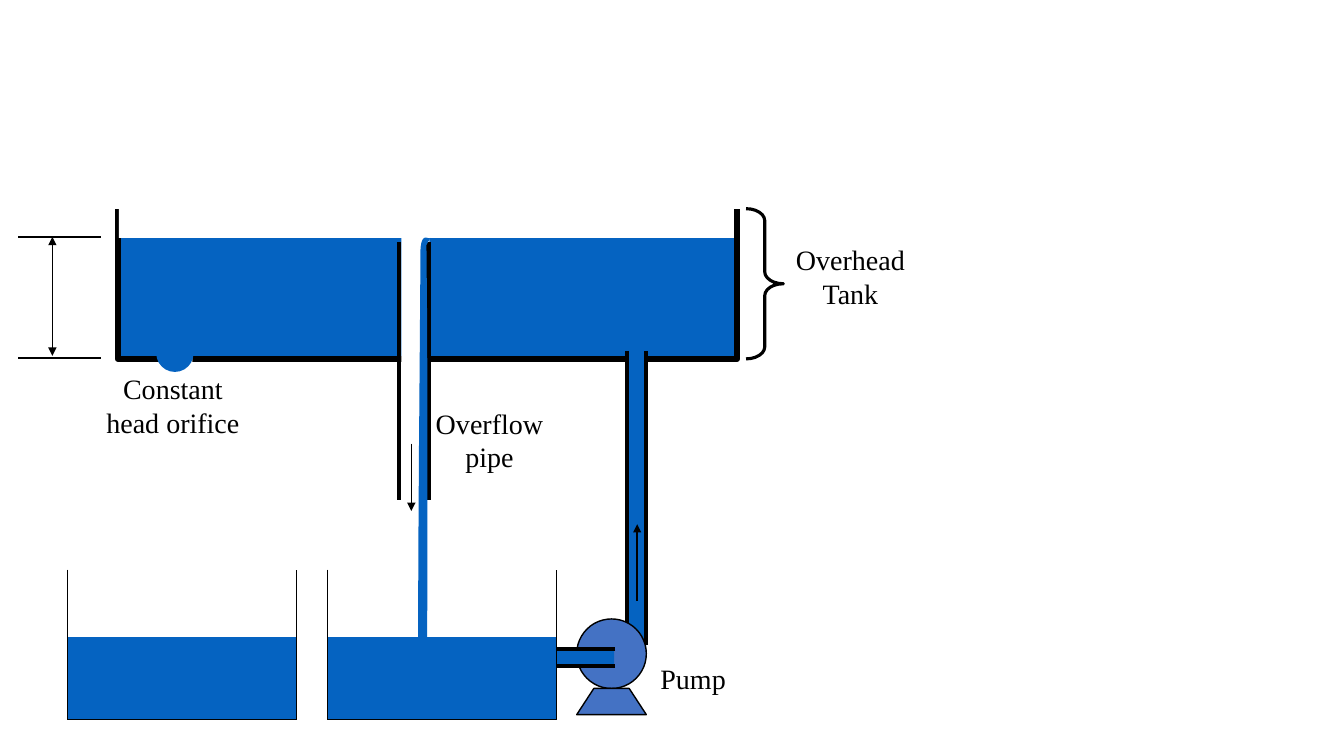
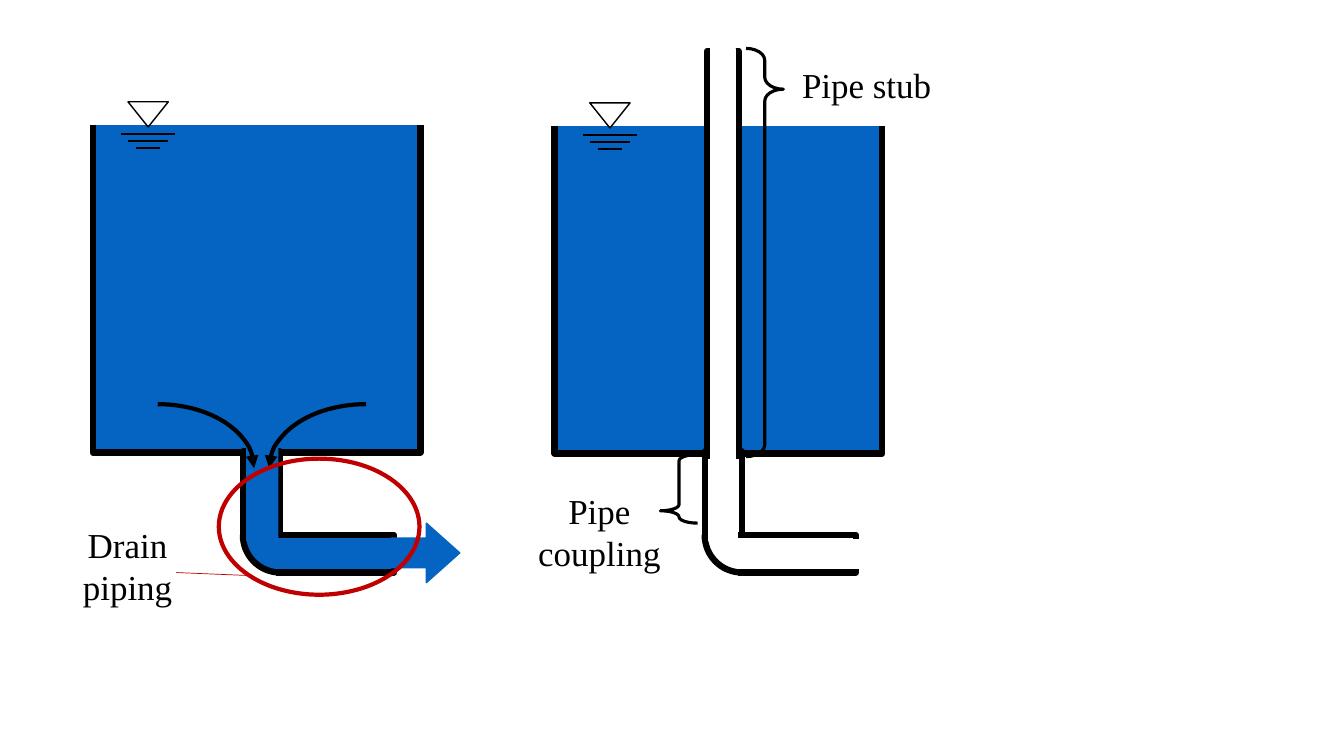
from pptx import Presentation
from pptx import util as u
from pptx.dml import color
from pptx.enum import shapes, text
from pptx.oxml.ns import qn
from lxml import etree

EMU_PER_PX = 9144  # 100 px to the inch
WATER, PUMP, INK, PAPER, ALERT = "0563C1", "4472C4", "000000", "FFFFFF", "C00000"
FONT = "Times New Roman"
WALL, PIPE, BRACE, THIN = 4.5, 3, 2.25, 1  # line widths in points
KIND = shapes.MSO_SHAPE


def px(length):
    return u.Emu(round(length * EMU_PER_PX))


def rgb(code):
    return color.RGBColor.from_string(code)


def set_stroke(line, ink, weight):
    if ink:
        line.color.rgb = rgb(ink)
        line.width = u.Pt(weight)
    else:
        line.fill.background()


def set_look(part, fill, ink, weight):
    part.shadow.inherit = False
    if fill:
        part.fill.solid()
        part.fill.fore_color.rgb = rgb(fill)
    else:
        part.fill.background()
    set_stroke(part.line, ink, weight)


def add_arrowheads(part, head=False, tail=False):
    """Arrowheads: head at the start of the line, tail at its end."""
    outline = part.line._get_or_add_ln()
    for tag, wanted in (("a:headEnd", head), ("a:tailEnd", tail)):
        if wanted:
            etree.SubElement(outline, qn(tag)).set("type", "triangle")


def add_preset(slide, kind, box, fill=None, ink=None, weight=THIN, adjust=()):
    part = slide.shapes.add_shape(kind, *map(px, box))
    set_look(part, fill, ink, weight)
    for index, value in enumerate(adjust):
        part.adjustments[index] = value
    return part


def add_outline(slide, points, fill=None, ink=None, weight=THIN, close=False):
    corners = [(px(x), px(y)) for x, y in points]
    builder = slide.shapes.build_freeform(*corners[0])
    builder.add_line_segments(corners[1:], close=close)
    set_look(builder.convert_to_shape(), fill, ink, weight)


def add_line(slide, start, end, ink=INK, weight=THIN, **arrowheads):
    line = slide.shapes.add_connector(
        shapes.MSO_CONNECTOR.STRAIGHT, *map(px, (*start, *end)))
    set_stroke(line.line, ink, weight)
    add_arrowheads(line, **arrowheads)
    etree.SubElement(line._element.spPr, qn("a:effectLst"))


def add_label(slide, words, box, size=20):
    frame = slide.shapes.add_textbox(*map(px, box)).text_frame
    frame.word_wrap = True
    paragraph = frame.paragraphs[0]
    paragraph.alignment = text.PP_ALIGN.CENTER
    run = paragraph.add_run()
    run.text = words
    run.font.name, run.font.size = FONT, u.Pt(size)
    run.font.color.rgb = rgb(INK)


def bezier(start, *curves, steps=16):
    """Points along a chain of cubic curves, each (control, control, end)."""
    points = [start]
    for first, second, end in curves:
        origin = points[-1]
        for step in range(1, steps + 1):
            t = step / steps
            s = 1 - t
            points.append(tuple(
                s**3 * a + 3 * s * s * t * b + 3 * s * t * t * c + t**3 * d
                for a, b, c, d in zip(origin, first, second, end)))
    return points


def add_vessel(slide, box, fill=None, weight=THIN):
    """An open-topped container."""
    left, top, width, height = box
    right, bottom = left + width, top + height
    add_outline(slide, [(left, top), (left, bottom), (right, bottom), (right, top)],
                fill, INK, weight)


def add_basin(slide, left):
    add_vessel(slide, (left, 565, 227, 149))
    add_vessel(slide, (left, 632, 227, 82), WATER)


def add_pipe_walls(slide, xs, top, bottom):
    for x in xs:
        add_line(slide, (x, top), (x, bottom), weight=PIPE)


def add_water_level(slide, left, top):
    """Free-surface mark: a triangle over three shrinking strokes."""
    add_preset(slide, KIND.FLOWCHART_MERGE, (left, top, 40, 25), ink=INK)
    middle = left + 20
    for row, half in enumerate((27, 20, 12)):
        y = top + 32 + 7 * row
        add_line(slide, (middle - half, y), (middle + half, y))


def add_drain_pipe(slide, left, fill):
    """Down-pipe, rounded elbow and outlet below a tank."""
    right, top, bottom = left + 37, 531, 568
    bend = bezier((right, bottom),
                  ((left + 16, bottom), (left, top + 20), (left, top)))
    add_outline(slide, bend + [(right, top)], fill, INK, WALL, close=True)
    add_outline(slide, [(right, 537), (right, 448), (left, 448), (left, 537)],
                fill, INK, WALL)
    end = left + 150
    add_outline(slide, [(left + 33, bottom), (end, bottom), (end, top), (left + 33, top)],
                fill, INK, WALL)


def add_drained_tank(slide, left, top, pipe_fill):
    add_vessel(slide, (left, top, 325, 325), WATER, WALL)
    add_water_level(slide, left + 35, top - 23)
    add_drain_pipe(slide, left + 149, pipe_fill)


def build_overhead_tank(slide):
    # Tank, with the space above the water and the overflow pipe cut out
    add_vessel(slide, (117, 207, 614, 149), WATER, WALL)
    add_preset(slide, KIND.RECTANGLE, (118, 196, 610, 40), PAPER)
    add_preset(slide, KIND.RECTANGLE, (398, 232, 28, 146), PAPER)
    add_pipe_walls(slide, (396, 425), 240, 496)

    # Riser from the pump
    add_preset(slide, KIND.RECTANGLE, (623, 349, 18, 294), WATER)
    add_pipe_walls(slide, (622, 641), 348, 640)
    add_line(slide, (632, 596), (632, 520), tail=True)
    add_line(slide, (408, 440), (408, 507), tail=True)

    # Orifice opening, basins, pump and suction pipe
    add_preset(slide, KIND.RECTANGLE, (158, 352, 33, 10), PAPER)
    add_basin(slide, 67)
    add_preset(slide, KIND.OVAL, (572, 614, 69, 69), PUMP, INK)
    add_outline(slide, [(572, 709), (589, 683), (624, 683), (641, 709)],
                PUMP, INK, close=True)
    add_preset(slide, KIND.RECTANGLE, (414, 645, 195, 16), WATER)
    for y in (644, 661):
        add_line(slide, (610, y), (417, y), weight=PIPE)
    add_basin(slide, 325)

    # Falling jet and orifice drop
    jet = bezier((427, 236),
                 ((425, 239), (416, 226), (417, 258)),
                 ((417, 291), (414, 589), (415, 655)),
                 ((416, 722), (421, 684), (423, 657)),
                 ((424, 630), (424, 564), (424, 495)),
                 ((424, 426), (424, 335), (423, 243)))
    add_outline(slide, jet, WATER)
    add_preset(slide, KIND.OVAL, (155, 332, 37, 37), WATER)

    # Constant head dimension
    for y in (235, 355):
        add_line(slide, (100, y), (18, y))
    add_line(slide, (52, 353), (52, 235), head=True, tail=True)

    # Labels
    add_preset(slide, KIND.RIGHT_BRACE, (740, 207, 37, 149), ink=INK,
               weight=BRACE, adjust=(0.32, 0.5))
    for words, box in (("Pump", (621, 651, 133, 44)),
                       ("Overhead Tank", (777, 236, 133, 77)),
                       ("Constant head orifice", (92, 364, 159, 77)),
                       ("Overflow pipe", (406, 398, 159, 77))):
        add_label(slide, words, box)


def build_drain_details(slide):
    # Open drain, with water flowing into it
    add_drained_tank(slide, 92, 124, WATER)
    add_preset(slide, KIND.RECTANGLE, (244, 440, 32, 94), WATER)
    inflow_right = add_preset(slide, KIND.ARC, (267, 401, 192, 127), ink=INK,
                              weight=PIPE, adjust=(108, 162))  # 180 to 270 degrees
    add_arrowheads(inflow_right, head=True)
    inflow_left = add_preset(slide, KIND.ARC, (61, 401, 191, 127), ink=INK, weight=PIPE)
    add_arrowheads(inflow_left, tail=True)

    # Drain closed by a pipe stub, with open pipe ends
    add_drained_tank(slide, 550, 125, PAPER)
    add_preset(slide, KIND.RECTANGLE, (844, 535, 10, 29), PAPER, PAPER)
    add_outline(slide, [(733, 455), (733, 51), (701, 51), (701, 455)], PAPER, INK, WALL)
    add_preset(slide, KIND.RECTANGLE, (705, 48, 24, 10), PAPER, PAPER)

    # Outflow, braces and labels
    add_preset(slide, KIND.RIGHT_ARROW, (388, 519, 68, 59), WATER, WATER,
               adjust=(0.5, 0.56))
    add_preset(slide, KIND.RIGHT_BRACE, (740, 48, 37, 405), ink=INK,
               weight=BRACE, adjust=(0.32, 0.1))
    add_preset(slide, KIND.LEFT_BRACE, (655, 451, 37, 68), ink=INK,
               weight=BRACE, adjust=(0.32, 0.82))
    add_preset(slide, KIND.OVAL, (217, 455, 199, 135), ink=ALERT, weight=PIPE)
    add_line(slide, (247, 571), (175, 568), ALERT, 0.5)
    for words, box in (("Pipe stub", (781, 58, 157, 52)),
                       ("Pipe coupling", (516, 481, 157, 94)),
                       ("Drain piping", (48, 514, 157, 94))):
        add_label(slide, words, box, size=25)


def main():
    deck = Presentation()
    deck.slide_width, deck.slide_height = px(1333), px(750)
    for build in (build_overhead_tank, build_drain_details):
        build(deck.slides.add_slide(deck.slide_layouts[6]))
    deck.save("out.pptx")


if __name__ == "__main__":
    main()
